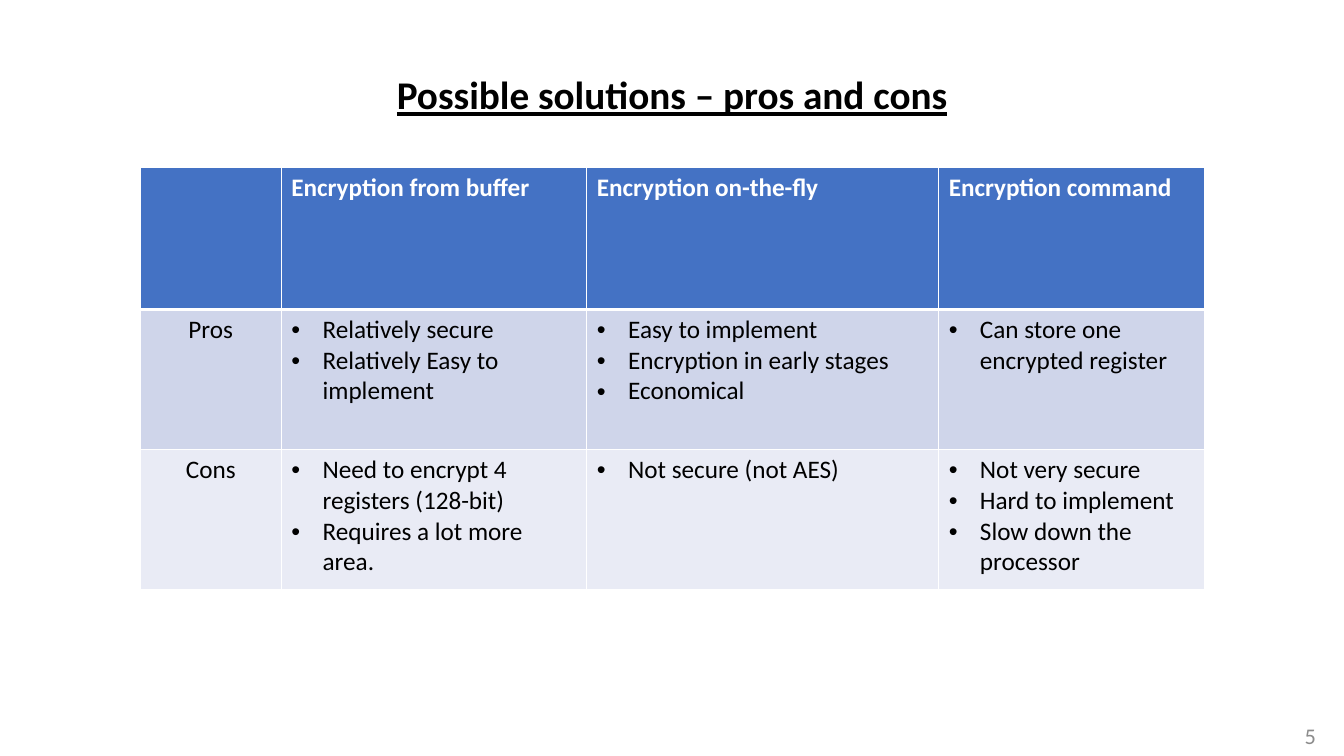
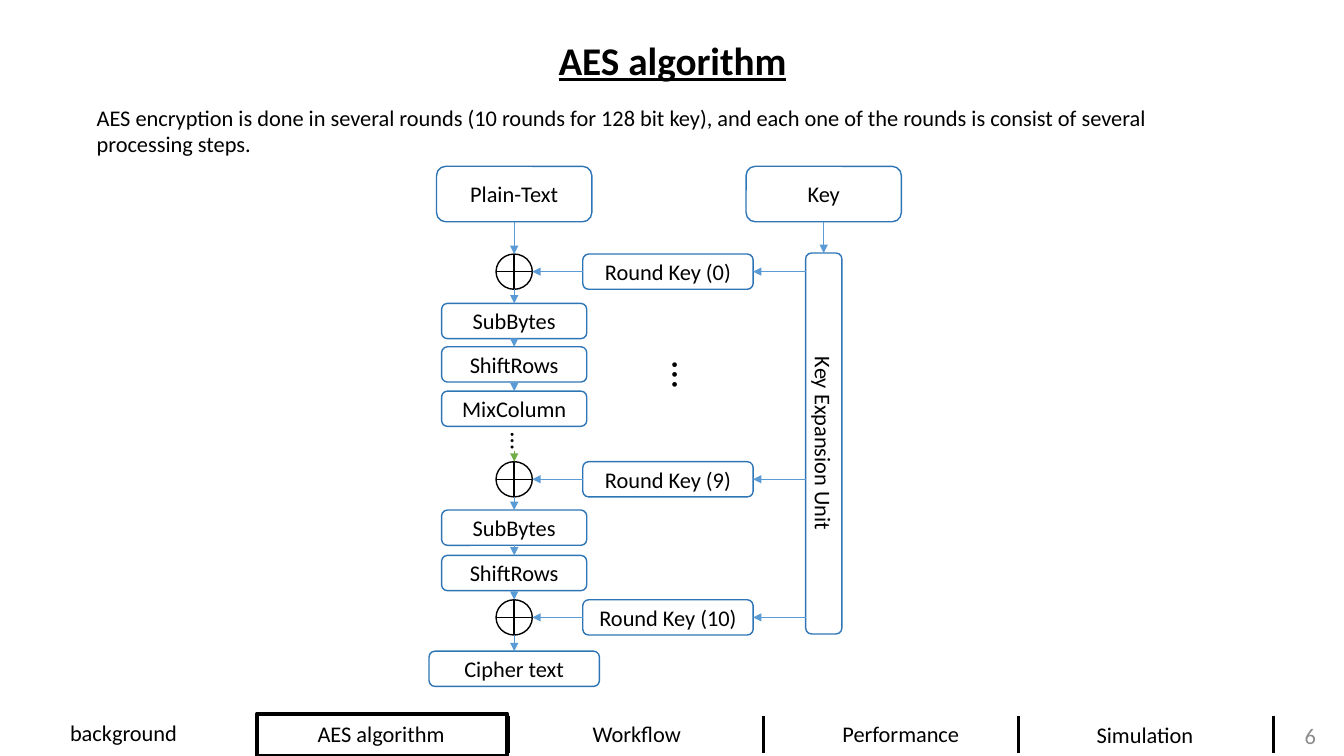
"""Build two slides: a pros and cons table and the AES round diagram."""
from lxml import etree
from pptx import Presentation
from pptx.dml.color import RGBColor
from pptx.enum.shapes import MSO_CONNECTOR, MSO_SHAPE
from pptx.enum.text import MSO_ANCHOR, MSO_AUTO_SIZE, PP_ALIGN
from pptx.oxml.ns import qn
from pptx.util import Emu, Pt

STRAIGHT = MSO_CONNECTOR.STRAIGHT
ROUNDED, XOR, RECTANGLE = MSO_SHAPE.ROUNDED_RECTANGLE, MSO_SHAPE.FLOWCHART_OR, MSO_SHAPE.RECTANGLE
LEFT, CENTER, RIGHT = PP_ALIGN.LEFT, PP_ALIGN.CENTER, PP_ALIGN.RIGHT
TOP, MIDDLE = MSO_ANCHOR.TOP, MSO_ANCHOR.MIDDLE

FONT = "Calibri"
BLACK = RGBColor(0x00, 0x00, 0x00)
WHITE = RGBColor(0xFF, 0xFF, 0xFF)
GRAY = RGBColor(0x8C, 0x8C, 0x8C)
HEADER_BLUE = RGBColor(0x44, 0x72, 0xC4)
BAND_DARK = RGBColor(0xCF, 0xD5, 0xEA)
BAND_LIGHT = RGBColor(0xE9, 0xEB, 0xF5)
BOX_BLUE = RGBColor(0x2E, 0x75, 0xB6)
ARROW_BLUE = RGBColor(0x5B, 0x9B, 0xD5)
ARROW_GREEN = RGBColor(0x70, 0xAD, 0x47)

TABLE_LEFT, TABLE_TOP = 139, 166
COLUMN_WIDTHS = (140, 303, 349, 264)
ROW_HEIGHTS = (141, 139, 139)
HEADERS = ("", "Encryption from buffer", "Encryption on-the-fly", "Encryption command")
TABLE_ROWS = (
    ("Pros", BAND_DARK, (
        ("Relatively secure", "Relatively Easy to implement"),
        ("Easy to implement", "Encryption in early stages", "Economical"),
        ("Can store one encrypted register",))),
    ("Cons", BAND_LIGHT, (
        ("Need to encrypt 4 registers (128-bit)", "Requires a lot more area."),
        ("Not secure (not AES)",),
        ("Not very secure", "Hard to implement", "Slow down the processor"))),
)
BULLET_INDENT = 31

INTRO = ("AES encryption is done in several rounds (10 rounds for 128 bit key), "
         "and each one of the rounds is consist of several processing steps.")
FLOW_CENTER, KEY_CENTER = 510, 817
STEP_HEIGHT, STEP_WIDTH, WIDE_WIDTH, XOR_WIDTH = 35, 144, 169, 36
INPUT_TOP, INPUT_WIDTH, INPUT_HEIGHT = 165, 154, 55
STEPS = (
    (252, "", "Round Key (0)"),
    (301, "SubBytes", ""),
    (344, "ShiftRows", ""),
    (388, "MixColumn", ""),
    (458, "", "Round Key (9)"),
    (506, "SubBytes", ""),
    (551, "ShiftRows", ""),
    (595, "", "Round Key (10)"),
    (646, "Cipher text", ""),
)
GAP_AFTER, GAP_ARROW_TOP = "MixColumn", 447
ROUND_KEY_LEFT = 578
EXPANSION_TOP, EXPANSION_LENGTH, EXPANSION_WIDTH = 251, 378, 36
ELLIPSES = (((658, 345, 49, 57), 28), ((492, 424, 49, 40), 18))

TABS = (("background", 0, 245, 709), ("AES algorithm", 253, 250, 710),
        ("Workflow", 506, 251, 710), ("Performance", 768, 251, 710),
        ("Simulation", 1013, 245, 711))
TAB_HEIGHT = 37
SEPARATOR_LEFT, SEPARATOR_STEP, SEPARATOR_COUNT = 504, 253, 4
ACTIVE_TAB = (255, 708, 248, 42)


def px(value):
    return Emu(round(value * 9144))


def lengths(box):
    return [px(value) for value in box]


def write(paragraph, text, size, color=BLACK, align=LEFT, bold=False, underline=False):
    paragraph.alignment = align
    run = paragraph.add_run()
    run.text = text
    font = run.font
    font.name, font.size, font.bold, font.underline = FONT, Pt(size), bold, underline
    font.color.rgb = color


def add_text(slide, text, box, size=16, color=BLACK, align=LEFT, anchor=TOP, rotation=0):
    shape = slide.shapes.add_textbox(*lengths(box))
    shape.rotation = rotation
    shape.text_frame.word_wrap = True
    shape.text_frame.vertical_anchor = anchor
    write(shape.text_frame.paragraphs[0], text, size, color, align)


def add_box(slide, kind, box, text="", line=BOX_BLUE, width=1, fill=WHITE):
    shape = slide.shapes.add_shape(kind, *lengths(box))
    shape.shadow.inherit = False
    if fill is None:
        shape.fill.background()
    else:
        shape.fill.solid()
        shape.fill.fore_color.rgb = fill
    shape.line.color.rgb = line
    shape.line.width = Pt(width)
    if text:
        shape.text_frame.vertical_anchor = MIDDLE
        write(shape.text_frame.paragraphs[0], text, 16, align=CENTER)
    return shape


def add_line(slide, start, end, color=ARROW_BLUE, width=1, arrow=True):
    connector = slide.shapes.add_connector(STRAIGHT, *lengths(start + end))
    connector.line.color.rgb = color
    connector.line.width = Pt(width)
    if arrow:
        etree.SubElement(connector.line._get_or_add_ln(), qn("a:tailEnd"), type="triangle")
    etree.SubElement(connector._element.spPr, qn("a:effectLst"))
    return connector


def add_slide(presentation, title, box, number):
    slide = presentation.slides.add_slide(presentation.slide_layouts[5])
    shape = slide.shapes.title
    shape.left, shape.top, shape.width, shape.height = lengths(box)
    frame = shape.text_frame
    frame.auto_size = MSO_AUTO_SIZE.NONE
    frame.vertical_anchor = TOP
    write(frame.paragraphs[0], title, 28, align=CENTER, bold=True, underline=True)
    add_text(slide, number, (1284, 710, 31, 40), color=GRAY, align=RIGHT, anchor=MIDDLE)
    return slide


def format_cell(cell, fill, top=1, bottom=1):
    cell.fill.solid()
    cell.fill.fore_color.rgb = fill
    properties = cell._tc.get_or_add_tcPr()
    for index, (side, width) in enumerate((("L", 1), ("R", 1), ("T", top), ("B", bottom))):
        border = etree.Element(qn(f"a:ln{side}"), w=str(Pt(width)))
        solid = etree.SubElement(border, qn("a:solidFill"))
        etree.SubElement(solid, qn("a:srgbClr"), val=str(WHITE))
        properties.insert(index, border)


def write_bullets(frame, items):
    for index, item in enumerate(items):
        paragraph = frame.add_paragraph() if index else frame.paragraphs[0]
        write(paragraph, item, 18)
        properties = paragraph._p.get_or_add_pPr()
        properties.set("marL", str(px(BULLET_INDENT)))
        properties.set("indent", str(px(-BULLET_INDENT)))
        etree.SubElement(properties, qn("a:buFont"), typeface="Arial")
        etree.SubElement(properties, qn("a:buChar"), char="•")


def add_comparison(slide):
    box = (TABLE_LEFT, TABLE_TOP, sum(COLUMN_WIDTHS), sum(ROW_HEIGHTS))
    table = slide.shapes.add_table(len(ROW_HEIGHTS), len(COLUMN_WIDTHS), *lengths(box)).table
    table.horz_banding = False
    for column, width in zip(table.columns, COLUMN_WIDTHS):
        column.width = px(width)
    for row, height in zip(table.rows, ROW_HEIGHTS):
        row.height = px(height)
    for index, header in enumerate(HEADERS):
        cell = table.cell(0, index)
        format_cell(cell, HEADER_BLUE, bottom=3)
        if header:
            write(cell.text_frame.paragraphs[0], header, 18, WHITE, bold=True)
    for row_index, (label, fill, columns) in enumerate(TABLE_ROWS, 1):
        for column_index in range(len(HEADERS)):
            format_cell(table.cell(row_index, column_index), fill, top=3 if row_index == 1 else 1)
        write(table.cell(row_index, 0).text_frame.paragraphs[0], label, 18, align=CENTER)
        for column_index, items in enumerate(columns, 1):
            write_bullets(table.cell(row_index, column_index).text_frame, items)


def add_round_key(slide, text, top):
    middle = top + STEP_HEIGHT / 2
    box = add_box(slide, ROUNDED, (ROUND_KEY_LEFT, top, WIDE_WIDTH, STEP_HEIGHT), text)
    expansion_edge = KEY_CENTER - EXPANSION_WIDTH / 2
    incoming = add_line(slide, (expansion_edge, middle), (ROUND_KEY_LEFT + WIDE_WIDTH, middle))
    incoming.end_connect(box, 3)
    outgoing = add_line(slide, (ROUND_KEY_LEFT, middle), (FLOW_CENTER + XOR_WIDTH / 2, middle))
    outgoing.begin_connect(box, 1)


def add_flow(slide):
    plain_text, key = [
        add_box(slide, ROUNDED, (center - INPUT_WIDTH / 2, INPUT_TOP, INPUT_WIDTH, INPUT_HEIGHT), text)
        for center, text in ((FLOW_CENTER, "Plain-Text"), (KEY_CENTER, "Key"))]
    expansion = add_box(slide, ROUNDED, (
        KEY_CENTER - EXPANSION_LENGTH / 2,
        EXPANSION_TOP + (EXPANSION_LENGTH - EXPANSION_WIDTH) / 2,
        EXPANSION_LENGTH, EXPANSION_WIDTH), "Key Expansion Unit")
    expansion.rotation = 90
    input_bottom = INPUT_TOP + INPUT_HEIGHT
    key_arrow = add_line(slide, (KEY_CENTER, input_bottom), (KEY_CENTER, EXPANSION_TOP))
    key_arrow.begin_connect(key, 2)

    previous, previous_text, previous_bottom = plain_text, "Plain-Text", input_bottom
    for top, text, round_key in STEPS:
        if text:
            width = WIDE_WIDTH if text == "Cipher text" else STEP_WIDTH
            kind, line = ROUNDED, BOX_BLUE
        else:
            width, kind, line = XOR_WIDTH, XOR, BLACK
        step = add_box(slide, kind, (FLOW_CENTER - width / 2, top, width, STEP_HEIGHT), text, line)
        end = (FLOW_CENTER, top)
        if previous_text == GAP_AFTER:
            add_line(slide, (FLOW_CENTER, GAP_ARROW_TOP), end, ARROW_GREEN, 0.5)
        else:
            arrow = add_line(slide, (FLOW_CENTER, previous_bottom), end)
            if previous_text:
                arrow.begin_connect(previous, 2)
            if text:
                arrow.end_connect(step, 0)
        if round_key:
            add_round_key(slide, round_key, top)
        previous, previous_text, previous_bottom = step, text, top + STEP_HEIGHT
    for box, size in ELLIPSES:
        add_text(slide, "…", box, size, rotation=90)


def add_navigation(slide):
    for text, left, width, top in TABS:
        add_text(slide, text, (left, top, width, TAB_HEIGHT), align=CENTER)
    for index in range(SEPARATOR_COUNT):
        left = SEPARATOR_LEFT + index * SEPARATOR_STEP
        add_line(slide, (left, 710), (left, 710 + TAB_HEIGHT), BLACK, 2.25, arrow=False)
    add_box(slide, RECTANGLE, ACTIVE_TAB, line=BLACK, width=3, fill=None)


def main():
    presentation = Presentation()
    presentation.slide_width, presentation.slide_height = lengths((1333, 750))
    comparison = add_slide(presentation, "Possible solutions – pros and cons", (317, 65, 699, 57), "5")
    add_comparison(comparison)
    algorithm = add_slide(presentation, "AES algorithm", (410, 31, 514, 57), "6")
    add_text(algorithm, INTRO, (86, 98, 1161, 64))
    add_flow(algorithm)
    add_navigation(algorithm)
    presentation.save("out.pptx")


if __name__ == "__main__":
    main()
